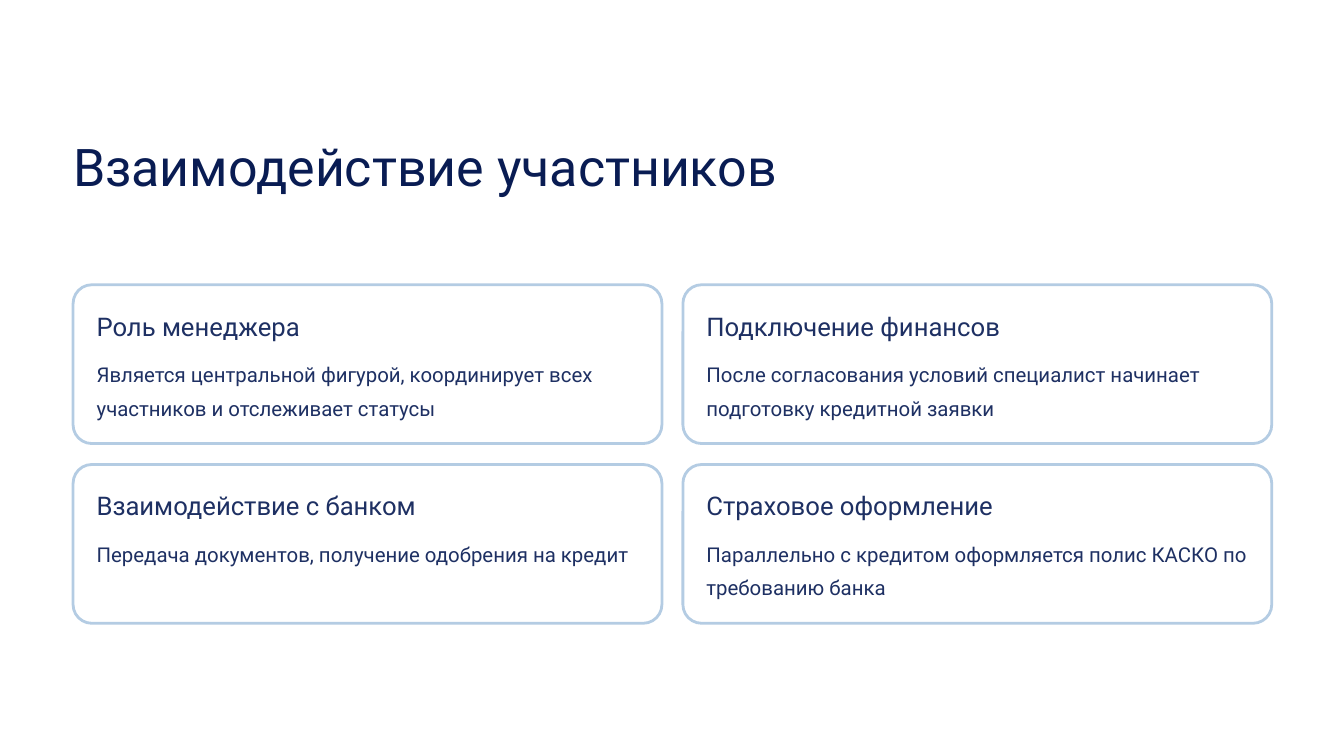
"""Build a slide with a title and a two-by-two grid of participant cards."""
from dataclasses import dataclass

from pptx import Presentation
from pptx.dml.color import RGBColor
from pptx.enum.shapes import MSO_SHAPE
from pptx.enum.text import MSO_ANCHOR, PP_ALIGN
from pptx.slide import Slide
from pptx.util import Inches, Pt

ROUNDED = MSO_SHAPE.ROUNDED_RECTANGLE
TOP = MSO_ANCHOR.TOP
LEFT = PP_ALIGN.LEFT


@dataclass(frozen=True)
class TextStyle:
    size: float
    leading: float
    color: RGBColor
    wrap: bool = False


@dataclass(frozen=True)
class Theme:
    font: str = "Roboto"
    fill: RGBColor = RGBColor(0xFF, 0xFF, 0xFF)
    border: RGBColor = RGBColor(0xB4, 0xCC, 0xE3)
    border_width: float = 2.4
    title: TextStyle = TextStyle(44.5, 55.5, RGBColor(0x09, 0x1C, 0x53))
    heading: TextStyle = TextStyle(22, 27.5, RGBColor(0x1E, 0x30, 0x63))
    body: TextStyle = TextStyle(17.5, 28.5, RGBColor(0x1E, 0x30, 0x63), True)


@dataclass(frozen=True)
class Box:
    left: float
    top: float
    width: float
    height: float

    def emu(self) -> tuple[int, ...]:
        return tuple(Inches(v) for v in (self.left, self.top, self.width, self.height))


@dataclass(frozen=True)
class Card:
    heading: str
    heading_width: float
    body: str


THEME = Theme()
TITLE_BOX = Box(0.87, 1.57, 8.63, 0.78)
GRID_LEFT, GRID_TOP = 0.87, 3.39
CARD_WIDTH, CARD_HEIGHT = 7.01, 1.89
GAP = 0.25
COLUMNS = 2
CORNER = 0.118
CARDS = (
    Card("Роль менеджера", 3.1,
         "Является центральной фигурой, координирует всех участников и отслеживает статусы"),
    Card("Подключение финансов", 3.67,
         "После согласования условий специалист начинает подготовку кредитной заявки"),
    Card("Взаимодействие с банком", 3.92,
         "Передача документов, получение одобрения на кредит"),
    Card("Страховое оформление", 3.58,
         "Параллельно с кредитом оформляется полис КАСКО по требованию банка"),
)


def set_all(target: object, values: dict[str, object]) -> None:
    for name, value in values.items():
        setattr(target, name, value)


def add_text(s: Slide, box: Box, text: str, style: TextStyle) -> None:
    tf = s.shapes.add_textbox(*box.emu()).text_frame
    set_all(tf, {"margin_left": 0, "margin_top": 0, "margin_right": 0, "margin_bottom": 0,
                 "word_wrap": style.wrap, "vertical_anchor": TOP})
    p = tf.paragraphs[0]
    set_all(p, {"alignment": LEFT, "line_spacing": Pt(style.leading)})
    r = p.add_run()
    r.text = text
    set_all(r.font, {"name": THEME.font, "size": Pt(style.size)})
    r.font.color.rgb = style.color


def add_card(s: Slide, card: Card, left: float, top: float) -> None:
    sp = s.shapes.add_shape(ROUNDED, *Box(left, top, CARD_WIDTH, CARD_HEIGHT).emu())
    sp.adjustments[0] = CORNER
    sp.shadow.inherit = False
    sp.fill.solid()
    sp.fill.fore_color.rgb = THEME.fill
    sp.line.color.rgb = THEME.border
    sp.line.width = Pt(THEME.border_width)
    text_left = left + 0.28
    add_text(s, Box(text_left, top + 0.29, card.heading_width, 0.39), card.heading, THEME.heading)
    add_text(s, Box(text_left, top + 0.82, 6.45, 0.79), card.body, THEME.body)


def main() -> None:
    prs = Presentation()
    set_all(prs, {"slide_width": Inches(16), "slide_height": Inches(9)})
    s = prs.slides.add_slide(prs.slide_layouts[6])
    add_text(s, TITLE_BOX, "Взаимодействие участников", THEME.title)
    for i, card in enumerate(CARDS):
        row, column = divmod(i, COLUMNS)
        add_card(s, card, GRID_LEFT + column * (CARD_WIDTH + GAP),
                 GRID_TOP + row * (CARD_HEIGHT + GAP))
    prs.save("out.pptx")


if __name__ == "__main__":
    main()
